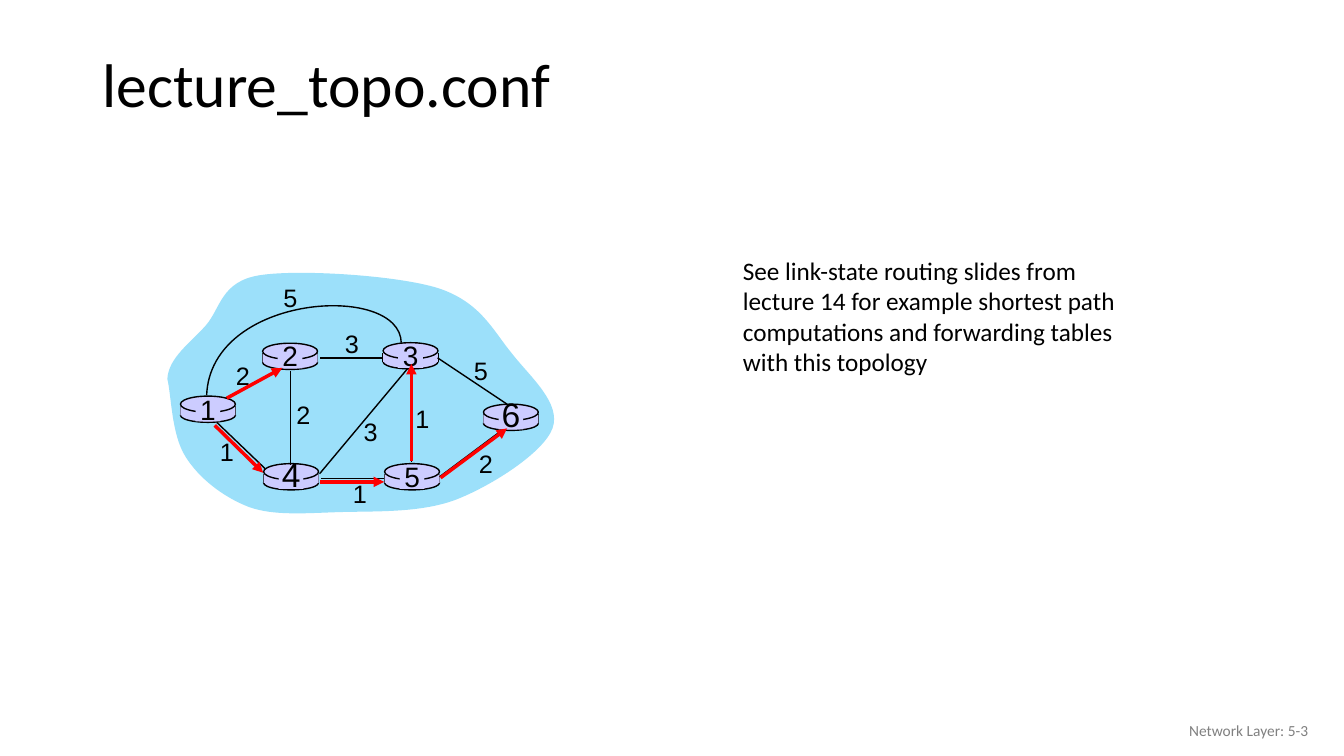
from pptx import Presentation, util as u
from pptx.dml.color import RGBColor
from pptx.enum import shapes, text
from pptx.oxml import parse_xml
from pptx.oxml.ns import nsdecls, qn

COLORS = {"ink": "000000", "footer": "808080", "cloud": "9CE0FA",
          "router": "CCCCFF", "route": "FF0000"}
CELL = 0.1  # side of one grid cell, in inches
ROUTER_W = 5.45

# All places below are (column, row) within the topology box.
CLOUD = [(0.6, 11.6),
         (0.7, 9.5), (2.9, 8), (4.4, 6.3),
         (5.9, 4.6), (5.9, 1.9), (9.8, 1.3),
         (13.6, 0.7), (23.4, 1.3), (27.5, 2.6),
         (31.7, 4), (32.9, 6.8), (34.8, 9.1),
         (36.6, 11.4), (39.7, 14), (38.8, 16.5),
         (37.9, 18.9), (32.9, 22.1), (29.4, 23.5),
         (25.9, 24.9), (21.3, 24.7), (17.8, 24.8),
         (14.4, 24.9), (11.2, 25.2), (8.7, 24.3),
         (6.1, 23.3), (3.7, 21.4), (2.4, 19.3),
         (1, 17.1), (1, 13.2), (0.6, 11.6)]
ARC = [(23.8, 8), (23.7, 2), (4.9, 3.1), (4.5, 13.2)]
ARC_COST = ("5", (12.8, 3.5))

# name: (top-left corner, label size, label drop from the top)
ROUTERS = {"1": ((1.9, 13.3), 20, 1.3), "4": ((10.15, 20), 24, 1.05),
           "2": ((10.05, 8.05), 20, 1.25), "3": ((22, 8), 20, 1.3),
           "5": ((22.15, 20), 20, 1.3), "6": ((31.95, 14.1), 24, 1.05)}

# (start, end, cost, centre of the cost)
LINKS = [((6.4, 13.5), (12.4, 10.3), "2", (8.1, 11.3)),
         ((12.8, 10.8), (12.8, 20.1), "2", (14.1, 15.2)),
         ((10.3, 20.5), (5.5, 15.9), "1", (6.5, 18.85)),
         ((15.7, 21), (24.4, 10.6), "3", (20.75, 16.8)),
         ((22.1, 21.5), (15.8, 21.5), "1", (19.7, 22.95)),
         ((24.8, 10.7), (24.8, 19.8), "1", (25.9, 15.5)),
         ((27.6, 21.3), (33.9, 16.6), "2", (32.2, 20)),
         ((34.3, 14.1), (27.4, 9.5), "5", (31.7, 10.75)),
         ((22, 9.5), (15.7, 9.5), "3", (18.9, 8.1))]

ROUTES = [((5.3, 16.2), (10.1, 20.9)),
          ((15.7, 21.8), (22.1, 21.8)),
          ((6.5, 13.5), (12, 10.5)),
          ((24.8, 19.7), (24.8, 10.1)),
          ((27.7, 21.4), (34.3, 16.5))]


def grid(*cells):
    """Turn grid cells into slide lengths."""
    return [u.Inches(c * CELL) for c in cells]


def color(name):
    """Look up a named colour."""
    return RGBColor.from_string(COLORS[name])


def write(sp, words, size=18, font="Calibri", ink="ink", wrap=True,
          align=text.PP_ALIGN.LEFT, anchor=text.MSO_ANCHOR.TOP,
          fit=text.MSO_AUTO_SIZE.NONE):
    """Put one formatted paragraph in a shape and return it."""
    tf = sp.text_frame
    tf.word_wrap, tf.auto_size = wrap, fit
    tf.vertical_anchor = anchor
    p = tf.paragraphs[0]
    p.alignment = align
    r = p.add_run()
    r.text = words
    r.font.size, r.font.name = u.Pt(size), font
    r.font.color.rgb = color(ink)
    return p


def paint(sp, fill=None, line=None):
    """Set the fill and outline of a shape, without shadow."""
    sp.shadow.inherit = False
    if fill:
        sp.fill.solid()
        sp.fill.fore_color.rgb = color(fill)
    else:
        sp.fill.background()
    if line:
        sp.line.color.rgb = color(line)
        sp.line.width = u.Pt(1)
    else:
        sp.line.fill.background()


def add_line(tree, start, end, ink="ink", width=1, arrow=False):
    """Draw a straight line, with an arrowhead at its end if asked."""
    c = tree.add_connector(shapes.MSO_CONNECTOR.STRAIGHT, *grid(*start, *end))
    c.line.color.rgb = color(ink)
    c.line.width = u.Pt(width)
    if arrow:
        c.line._get_or_add_ln().append(
            parse_xml(f'<a:tailEnd {nsdecls("a")} type="triangle"/>'))
    c._element.spPr.append(c._element.spPr.makeelement(qn("a:effectLst"), {}))


def add_curve(tree, points, closed=False, **style):
    """Draw joined cubic curves given as a start and triples of points."""
    builder = tree.build_freeform(*grid(*points[0]))
    builder.add_line_segments([grid(*q) for q in points[1:]], close=closed)
    sp = builder.convert_to_shape()
    sides = list(sp._element.iter(qn("a:lnTo")))
    for i in range(0, len(sides), 3):
        curve = sides[i].makeelement(qn("a:cubicBezTo"), {})
        sides[i].addprevious(curve)
        for side in sides[i:i + 3]:
            curve.append(side[0])
            side.getparent().remove(side)
    paint(sp, **style)


def add_number(tree, words, center, size=18):
    """Write a number centred on a point."""
    w, h = size * 0.1 + 1.6, size * 0.17 + 1
    box = tree.add_textbox(*grid(center[0] - w / 2, center[1] - h / 2, w, h))
    write(box, words, size=size, font="Arial", wrap=False,
          align=text.PP_ALIGN.CENTER, fit=text.MSO_AUTO_SIZE.SHAPE_TO_FIT_TEXT)


def add_router(tree, x, y):
    """Draw a flat cylinder with its top-left corner at the given cell."""
    def part(kind, dy, h, line=None):
        paint(tree.add_shape(kind, *grid(x, y + dy, ROUTER_W, h)),
              "router", line)
    oval, rect = shapes.MSO_SHAPE.OVAL, shapes.MSO_SHAPE.RECTANGLE
    part(oval, 1.2, 1.4, "ink")
    for side in (x, x + ROUTER_W):
        add_line(tree, (side, y + 1), (side, y + 1.9))
    part(rect, 1, 0.9)
    part(oval, 0, 1.6, "ink")


def label_router(tree, x, y, name, size, drop):
    """Cover the middle of a router and write its name there."""
    w, center = 2.45, x + ROUTER_W / 2
    patch = tree.add_shape(shapes.MSO_SHAPE.RECTANGLE,
                           *grid(center - w / 2, y + 0.2, w, 2.3))
    paint(patch, "router")
    add_number(tree, name, (center, y + drop), size)


def topology(s, left, top):
    """Draw the network and its shortest paths from a top-left cell."""
    def at(q):
        return q[0] + left, q[1] + top

    tree = s.shapes.add_group_shape().shapes
    add_curve(tree, [at(q) for q in CLOUD], closed=True, fill="cloud")
    for corner, _, _ in ROUTERS.values():
        add_router(tree, *at(corner))
    for start, end, _, _ in LINKS:
        add_line(tree, at(start), at(end))
    add_curve(tree, [at(q) for q in ARC], line="ink")
    for name, (corner, size, drop) in ROUTERS.items():
        label_router(tree, *at(corner), name, size, drop)
    for cost, center in [link[2:] for link in LINKS] + [ARC_COST]:
        add_number(tree, cost, at(center))
    for start, end in ROUTES:
        add_line(s.shapes, at(start), at(end), "route", 2.5, arrow=True)


def heading(s, *box):
    """Place and fill the title."""
    title = s.shapes.title
    title.left, title.top, title.width, title.height = grid(*box)
    p = write(title, "lecture_topo.conf", size=44,
              anchor=text.MSO_ANCHOR.MIDDLE)
    p.line_spacing = 0.9


def remark(s, *box):
    """Write the note beside the network."""
    write(s.shapes.add_textbox(*grid(*box)),
          "See link-state routing slides from lecture 14 for example shortest "
          "path computations and forwarding tables with this topology",
          fit=text.MSO_AUTO_SIZE.SHAPE_TO_FIT_TEXT)


def footer(s, *box):
    """Write the chapter and page at the lower right."""
    write(s.shapes.add_textbox(*grid(*box)), "Network Layer: 5-3", size=11,
          ink="footer", align=text.PP_ALIGN.RIGHT,
          anchor=text.MSO_ANCHOR.MIDDLE)


prs = Presentation()
prs.slide_width, prs.slide_height = u.Inches(13.33), u.Inches(7.5)
s = prs.slides.add_slide(prs.slide_layouts[5])
heading(s, 9.17, 3.8, 107.6, 9.8)
footer(s, 100.75, 70.5, 30, 4)
topology(s, 16, 26)
remark(s, 72.7, 24.85, 42.3, 13.1)
prs.save("out.pptx")
